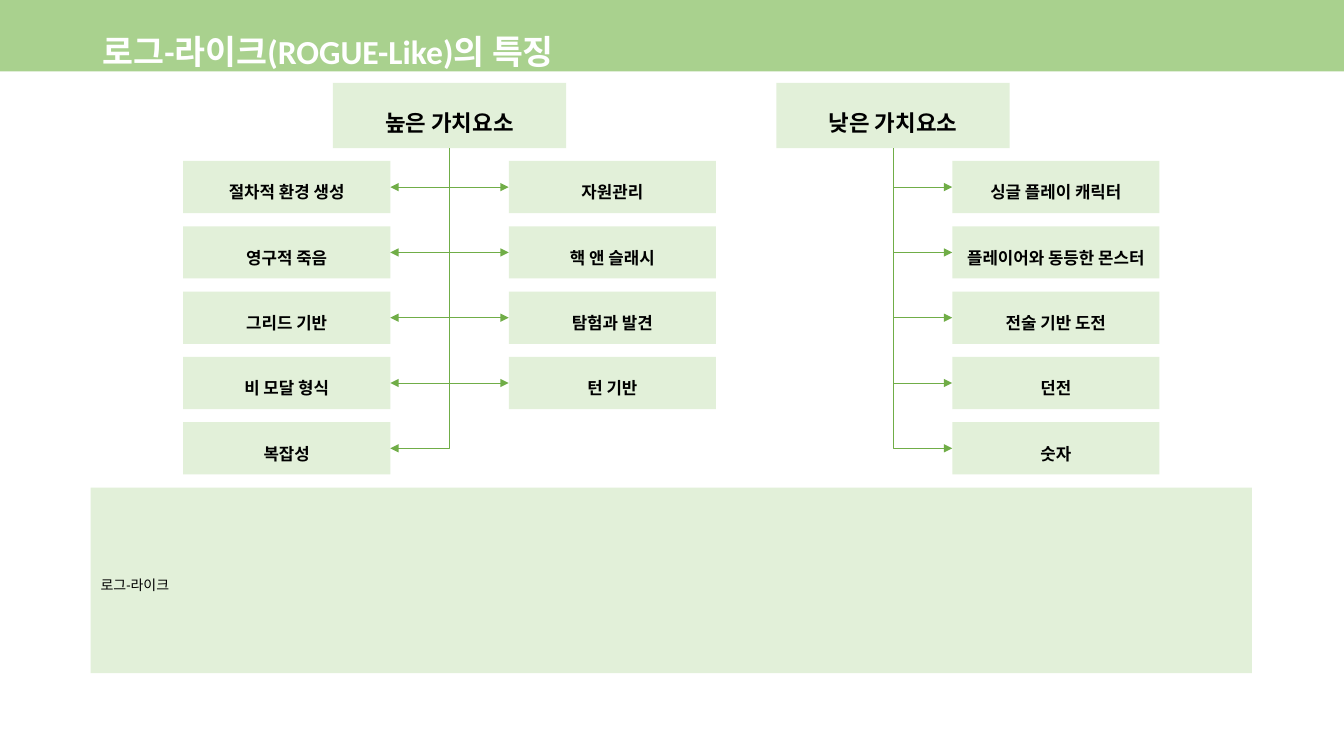
import pptx
import pptx.dml.color
import pptx.enum.shapes
import pptx.enum.text
import pptx.oxml.ns
import pptx.util
from lxml import etree

Pt = pptx.util.Pt
COLORS = {"band": "A9D18E", "box": "E2F0D9", "line": "70AD47",
          "text": "000000", "title": "FFFFFF"}
FONT = "Calibri"

HEADER_TOP, HEADER_WIDTH, HEADER_HEIGHT = 59.2, 166.5, 46.7
ITEM_TOP, ITEM_WIDTH, ITEM_HEIGHT, ITEM_PITCH = 115, 148, 37.3, 46.65
BRANCH_GAP = 42.3  # from the trunk to the nearest edge of an item

GROUPS = [
    (321.1, "높은 가치요소", {
        "left": ["절차적 환경 생성", "영구적 죽음", "그리드 기반", "비 모달 형식", "복잡성"],
        "right": ["자원관리", "핵 앤 슬래시", "탐험과 발견", "턴 기반"],
    }),
    (637.9, "낮은 가치요소", {
        "right": ["싱글 플레이 캐릭터", "플레이어와 동등한 몬스터", "전술 기반 도전", "던전", "숫자"],
    }),
]


def rgb(name):
    return pptx.dml.color.RGBColor.from_string(COLORS[name])


def write_text(shape, text, size, color="text", bold=True, centered=True):
    frame = shape.text_frame
    frame.word_wrap = True
    frame.auto_size = pptx.enum.text.MSO_AUTO_SIZE.NONE
    frame.vertical_anchor = pptx.enum.text.MSO_ANCHOR.MIDDLE
    paragraph = frame.paragraphs[0]
    paragraph.line_spacing = 1.5
    alignments = pptx.enum.text.PP_ALIGN
    paragraph.alignment = alignments.CENTER if centered else alignments.LEFT
    run = paragraph.add_run()
    run.text = text
    run.font.name = FONT
    run.font.size = Pt(size)
    run.font.bold = bold
    run.font.color.rgb = rgb(color)


def add_box(slide, left, top, width, height, color="box"):
    shape = slide.shapes.add_shape(pptx.enum.shapes.MSO_SHAPE.RECTANGLE,
                                   Pt(left), Pt(top), Pt(width), Pt(height))
    shape.shadow.inherit = False
    shape.fill.solid()
    shape.fill.fore_color.rgb = rgb(color)
    shape.line.fill.background()
    return shape


def add_branch(slide, header, item, side):
    """Draw an arrow down from the header, then sideways to the item."""
    connector = slide.shapes.add_connector(
        pptx.enum.shapes.MSO_CONNECTOR.ELBOW, 0, 0, 0, 0)
    connector.begin_connect(header, 2)
    connector.end_connect(item, 3 if side == "left" else 1)
    center_x = (connector.begin_x + connector.end_x) // 2
    center_y = (connector.begin_y + connector.end_y) // 2
    run, drop = connector.width, connector.height

    # The two-part elbow runs sideways first, so it is turned a quarter.
    connector.left, connector.top = center_x - drop // 2, center_y - run // 2
    connector.width, connector.height = drop, run
    properties = connector._element.spPr
    properties.find(pptx.oxml.ns.qn("a:prstGeom")).set("prst", "bentConnector2")
    transform = properties.find(pptx.oxml.ns.qn("a:xfrm"))
    transform.set("rot", "5400000" if side == "left" else "16200000")
    transform.set("flipH", "0" if side == "left" else "1")
    transform.set("flipV", "0")

    connector.line.color.rgb = rgb("line")
    connector.line.width = Pt(0.5)
    line = properties.find(pptx.oxml.ns.qn("a:ln"))
    etree.SubElement(line, pptx.oxml.ns.qn("a:tailEnd"), type="triangle")
    etree.SubElement(properties, pptx.oxml.ns.qn("a:effectLst"))


def add_group(slide, trunk, heading, sides):
    header = add_box(slide, trunk - HEADER_WIDTH / 2, HEADER_TOP,
                     HEADER_WIDTH, HEADER_HEIGHT)
    write_text(header, heading, 16)
    for side, labels in sides.items():
        left = trunk + BRANCH_GAP
        if side == "left":
            left = trunk - BRANCH_GAP - ITEM_WIDTH
        for row, label in enumerate(labels):
            item = add_box(slide, left, ITEM_TOP + row * ITEM_PITCH,
                           ITEM_WIDTH, ITEM_HEIGHT)
            write_text(item, label, 12)
            add_branch(slide, header, item, side)


def add_title(slide, text):
    band = add_box(slide, 0, 0, 960, 51, "band")
    slide.shapes._spTree.insert(2, band._element)
    title = slide.shapes.title
    title.left, title.top = Pt(66), Pt(10.8)
    title.width, title.height = Pt(828), Pt(37.4)
    write_text(title, text, 24, "title", centered=False)


def main():
    presentation = pptx.Presentation()
    presentation.slide_width, presentation.slide_height = Pt(960), Pt(540)
    slide = presentation.slides.add_slide(presentation.slide_layouts[5])
    add_title(slide, "로그-라이크(ROGUE-Like)의 특징")
    for trunk, heading, sides in GROUPS:
        add_group(slide, trunk, heading, sides)
    summary = add_box(slide, 64.8, 348.3, 829.4, 132.5)
    write_text(summary, "로그-라이크", 10, bold=False, centered=False)
    presentation.save("out.pptx")


if __name__ == "__main__":
    main()
